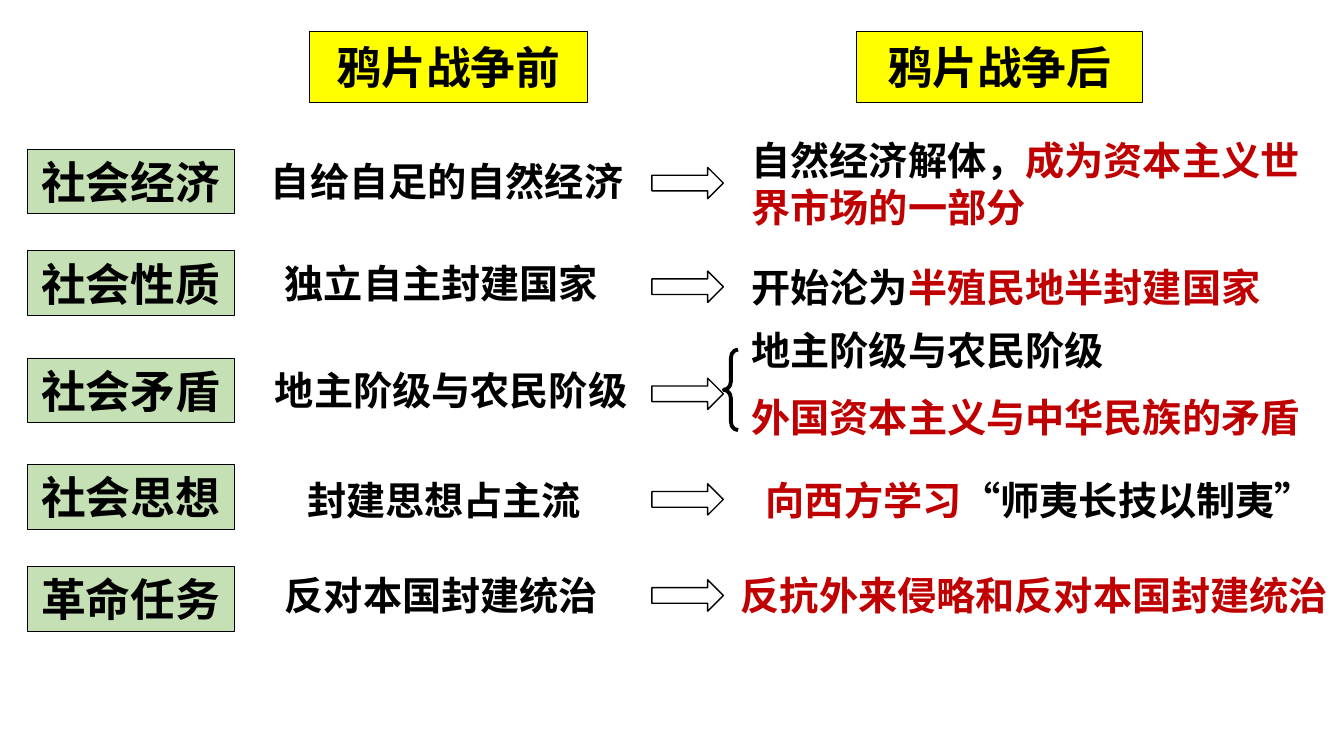
import pptx
import pptx.util
import pptx.dml.color
import pptx.enum.shapes
import pptx.enum.text
import pptx.oxml.ns

RGBColor = pptx.dml.color.RGBColor
Cm, Pt = pptx.util.Cm, pptx.util.Pt
SHAPE = pptx.enum.shapes.MSO_SHAPE
ALIGN = pptx.enum.text.PP_ALIGN

BLACK = RGBColor(0x00, 0x00, 0x00)
RED = RGBColor(0xC0, 0x00, 0x00)
YELLOW = RGBColor(0xFF, 0xFF, 0x00)
GREEN = RGBColor(0xC5, 0xE0, 0xB4)
CJK = "Noto Sans CJK SC"

LABEL_X, LABEL_W, LABEL_H = 0.69, 5.21, 1.63
ARROW_X, ARROW_W, ARROW_H = 16.43, 1.8, 0.79
AFTER_X = 18.69
LINE_H = 1.45


def write(sp, runs, size=28, font=CJK, align=ALIGN.LEFT, spacing=None):
    """Fill a shape with one paragraph of (text, colour) runs."""
    tf = sp.text_frame
    tf.word_wrap = True
    tf.vertical_anchor = pptx.enum.text.MSO_ANCHOR.MIDDLE
    p = tf.paragraphs[0]
    p.alignment = align
    p.line_spacing = spacing
    for text, color in runs:
        r = p.add_run()
        r.text = text
        r.font.size, r.font.bold, r.font.name = Pt(size), True, font
        r.font.color.rgb = color
        ea = r.font._element.makeelement(pptx.oxml.ns.qn("a:ea"), {"typeface": CJK})
        r.font._element.append(ea)


def add_shape(s, kind, x, y, w, h, fill=None, line=1):
    sp = s.shapes.add_shape(kind, Cm(x), Cm(y), Cm(w), Cm(h))
    sp.shadow.inherit = False
    if fill is None:
        sp.fill.background()
    else:
        sp.fill.solid()
        sp.fill.fore_color.rgb = fill
    sp.line.color.rgb = BLACK
    sp.line.width = Pt(line)
    return sp


def add_text(s, x, y, w, runs, h=LINE_H, **fmt):
    write(s.shapes.add_textbox(Cm(x), Cm(y), Cm(w), Cm(h)), runs, **fmt)


def add_heading(s, x, y, w, h, text):
    sp = add_shape(s, SHAPE.RECTANGLE, x, y, w, h, YELLOW)
    write(sp, [(text, BLACK)], size=32, font="Calibri", align=ALIGN.CENTER)


def add_row(s, y, label, before, before_dx, before_dy, before_w, arrow_dy, after):
    """One aspect: label, state before, arrow, state after; y is the label top."""
    sp = add_shape(s, SHAPE.RECTANGLE, LABEL_X, y, LABEL_W, LABEL_H, GREEN, 0.5)
    write(sp, [(label, BLACK)], size=32, align=ALIGN.CENTER)
    add_text(s, before_dx, y + before_dy, before_w, [(before, BLACK)])
    add_shape(s, SHAPE.RIGHT_ARROW, ARROW_X, y + arrow_dy, ARROW_W, ARROW_H)
    for x, dy, w, h, runs in after:
        add_text(s, x, y + dy, w, runs, h=h, spacing=Pt(33.6) if h > LINE_H else None)


def add_brace(s, x, y, w, h):
    sp = add_shape(s, SHAPE.LEFT_BRACE, x, y, w, h, line=2.75)
    sp.adjustments[0] = 0.58


# label top, label, before (text, left, offset, width), arrow offset, after boxes
ROWS = [
    (3.76, "社会经济", "自给自足的自然经济", 6.58, 0.08, 9.45, 0.46,
     [(AFTER_X, -0.46, 15.16, 2.64,
       [("自然经济解体，", BLACK), ("成为资本主义世界市场的一部分", RED)])]),
    (6.32, "社会性质", "独立自主封建国家", 6.93, 0.08, 8.76, 0.51,
     [(AFTER_X, 0.18, 13.64, LINE_H,
       [("开始沦为", BLACK), ("半殖民地半封建国家", RED)])]),
    (9.02, "社会矛盾", "地主阶级与农民阶级", 6.68, 0.07, 9.75, 0.51,
     [(AFTER_X, -0.94, 14.33, LINE_H, [("地主阶级与农民阶级", BLACK)]),
      (AFTER_X, 0.76, 14.88, LINE_H, [("外国资本主义与中华民族的矛盾", RED)])]),
    (11.71, "社会思想", "封建思想占主流", 7.49, 0.15, 7.47, 0.48,
     [(19.05, 0.15, 14.45, LINE_H,
       [("向西方学习", RED), ("“师夷长技以制夷”", BLACK)])]),
    (14.27, "革命任务", "反对本国封建统治", 6.93, 0, 8.61, 0.34,
     [(18.42, 0, 15.72, LINE_H, [("反抗外来侵略和反对本国封建统治", RED)])]),
]

prs = pptx.Presentation()
prs.slide_width, prs.slide_height = Cm(33.87), Cm(19.05)
s = prs.slides.add_slide(prs.slide_layouts[6])

# Column headings
add_heading(s, 7.8, 0.79, 7.01, 1.8, "鸦片战争前")
add_heading(s, 21.59, 0.79, 7.21, 1.8, "鸦片战争后")

# Comparison rows
for row in ROWS:
    add_row(s, *row)

# Brace joining the two contradictions
add_brace(s, 18.24, 8.81, 0.36, 2.03)

prs.save("out.pptx")
